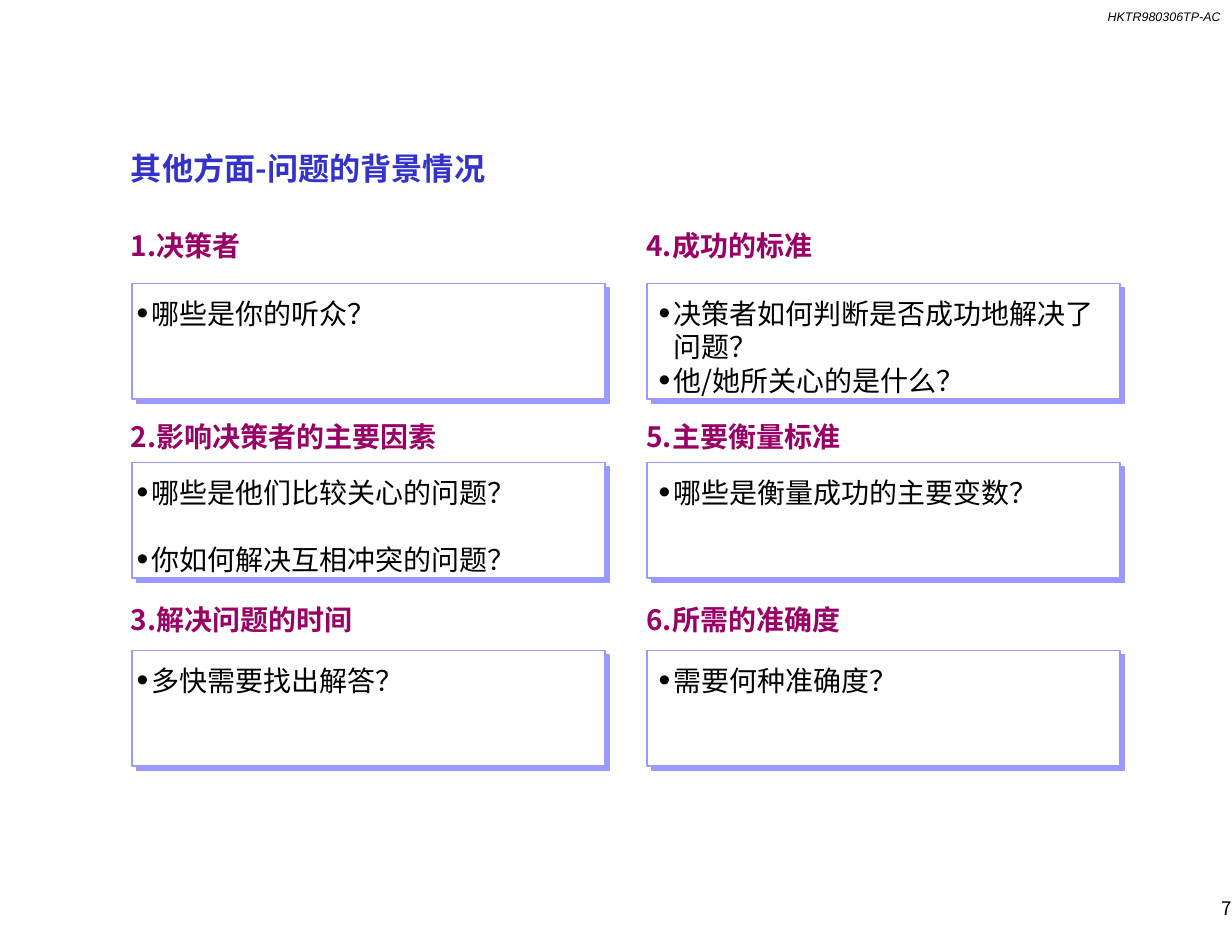
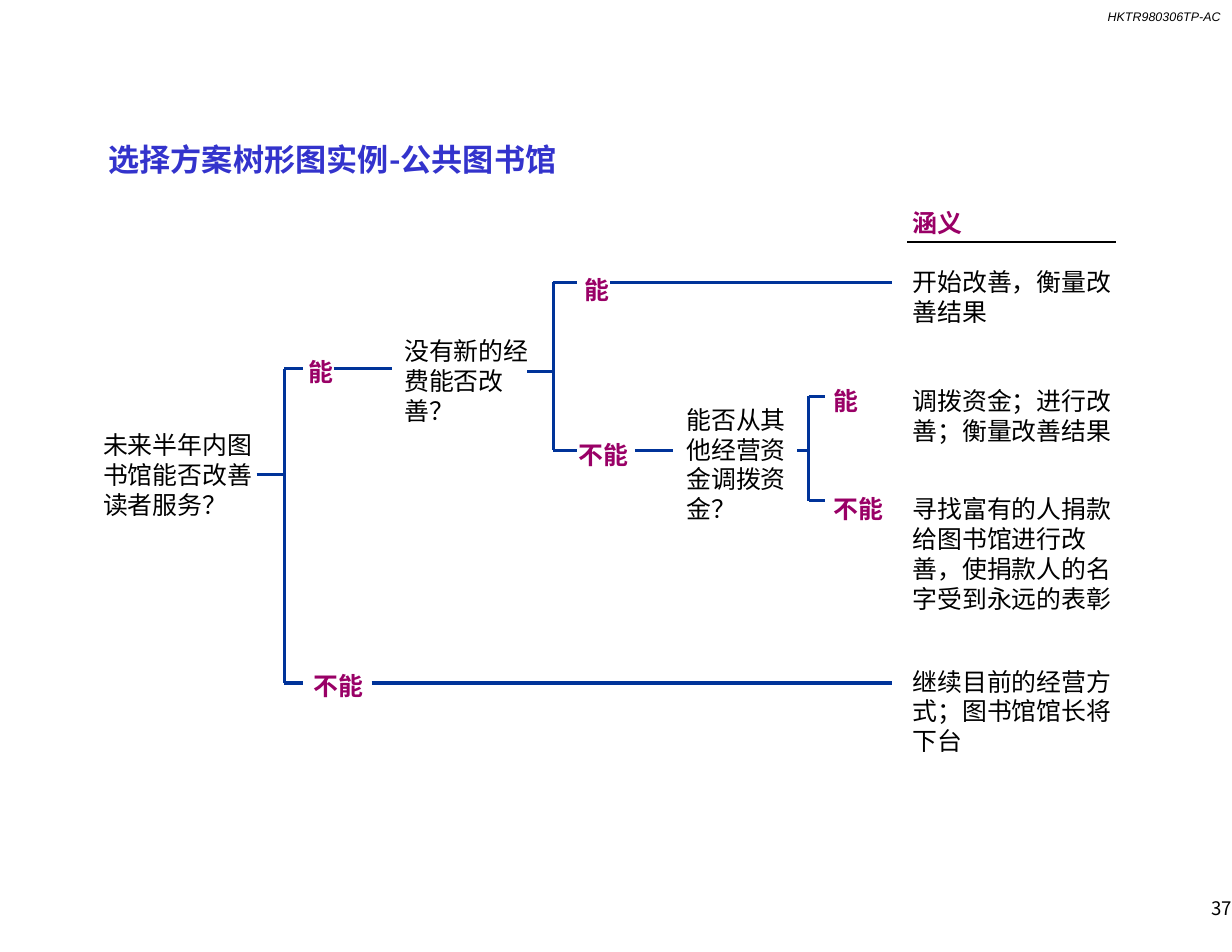
from dataclasses import dataclass

from lxml.etree import SubElement
from pptx import Presentation
from pptx.dml.color import RGBColor
from pptx.enum.shapes import MSO_CONNECTOR, MSO_SHAPE
from pptx.enum.text import MSO_ANCHOR, MSO_AUTO_SIZE, PP_ALIGN
from pptx.oxml.ns import qn
from pptx.util import Cm, Pt

LEFT, RIGHT = PP_ALIGN.LEFT, PP_ALIGN.RIGHT
TOP, MIDDLE = MSO_ANCHOR.TOP, MSO_ANCHOR.MIDDLE
NO_FIT = MSO_AUTO_SIZE.NONE
RECT = MSO_SHAPE.RECTANGLE
STRAIGHT = MSO_CONNECTOR.STRAIGHT
TITLE_ONLY = 5


@dataclass(frozen=True)
class Theme:
    """Fonts, colours and type sizes of the deck."""
    font: str = "Noto Sans CJK SC"
    code_font: str = "Arial"
    title: str = "3333CC"
    head: str = "990066"
    ink: str = "000000"
    paper: str = "FFFFFF"
    edge: str = "9999FF"
    tree: str = "003399"
    title_size: int = 20
    panel_size: int = 18
    tree_size: int = 16
    page_size: int = 12
    code_size: int = 8
    leading: float = 1.2


THEME = Theme()

PANELS = [
    [("1.决策者", ["哪些是你的听众？"]),
     ("2.影响决策者的主要因素", ["哪些是他们比较关心的问题？", "你如何解决互相冲突的问题？"]),
     ("3.解决问题的时间", ["多快需要找出解答？"])],
    [("4.成功的标准", ["决策者如何判断是否成功地解决了问题？", "他/她所关心的是什么？"]),
     ("5.主要衡量标准", ["哪些是衡量成功的主要变数？"]),
     ("6.所需的准确度", ["需要何种准确度？"])],
]
COLUMNS = [(2.97, 3.0, 3.1), (14.66, 14.68, 14.94)]
ROWS = [(5.18, 6.43), (9.51, 10.49), (13.67, 14.75)]
SPREAD = "2.影响决策者的主要因素"

QUESTIONS = [
    ("未来半年内图书馆能否改善读者服务？", 2.34, 9.75, 3.71, 2.03),
    ("没有新的经费能否改善？", 9.17, 7.62, 3.07, 2.03),
    ("能否从其他经营资金调拨资金？", 15.57, 9.17, 2.67, 2.72),
]
ANSWERS = [
    ("能", 6.99, 8.1), ("不能", 7.11, 15.21),
    ("能", 13.26, 6.22), ("不能", 13.13, 9.96),
    ("能", 18.9, 8.74), ("不能", 18.9, 11.2),
]
RESULTS = [
    ("调拨资金；进行改善；衡量改善结果", 8.74, 4.83, 1.35),
    ("寻找富有的人捐款给图书馆进行改善，使捐款人的名字受到永远的表彰", 11.2, 5.05, 2.72),
    ("继续目前的经营方式；图书馆馆长将下台", 15.11, 5.05, 2.03),
]
FORKS = [
    (5.82, 10.77, 6.45, 6.88, 8.36, 15.49),
    (11.96, 8.43, 12.55, 13.08, 6.4, 10.21),
    (18.08, 10.21, 18.34, 18.72, 8.99, 11.36),
]
BRANCHES = [(7.57, 8.89, 8.36), (14.4, 15.27, 10.21),
            (13.84, 20.22, 6.4), (8.43, 20.22, 15.49)]


def rgb(code):
    """Turn a hex code into a colour."""
    return RGBColor.from_string(code)


def style(para, size, color, bold=False, align=LEFT):
    """Format one paragraph in the main font, without hanging punctuation."""
    para.alignment = align
    para.line_spacing = Pt(size * THEME.leading)
    font = para.font
    font.size, font.bold = Pt(size), bold
    font.color.rgb = rgb(color)
    font.name = THEME.font
    props = para._p.get_or_add_pPr()
    props.set("hangingPunct", "0")
    SubElement(props.find(qn("a:defRPr")), qn("a:ea"), typeface=THEME.font)


def set_frame(frame, anchor=TOP):
    """Strip a text frame of margins and make it wrap."""
    frame.word_wrap = True
    frame.auto_size = NO_FIT
    frame.vertical_anchor = anchor
    frame.margin_left = frame.margin_right = 0
    frame.margin_top = frame.margin_bottom = 0


def add_box(slide, left, top, width, height, anchor=TOP):
    """Add an empty text box and return its frame."""
    box = slide.shapes.add_textbox(Cm(left), Cm(top), Cm(width), Cm(height))
    set_frame(box.text_frame, anchor)
    return box.text_frame


def add_text(slide, text, left, top, width, height, size,
             color=THEME.ink, bold=False):
    """Add a one-paragraph text box and return its frame."""
    frame = add_box(slide, left, top, width, height)
    frame.text = text
    style(frame.paragraphs[0], size, color, bold)
    return frame


def add_slide(deck, title, left, top, width, number):
    """Add a slide with title, document code and page number."""
    slide = deck.slides.add_slide(deck.slide_layouts[TITLE_ONLY])
    head = slide.shapes.title
    head.left, head.top = Cm(left), Cm(top)
    head.width, head.height = Cm(width), Cm(0.84)
    set_frame(head.text_frame)
    head.text_frame.text = title
    style(head.text_frame.paragraphs[0], THEME.title_size, THEME.title, True)

    para = add_box(slide, 23.09, 0.2, 4.6, 0.33).paragraphs[0]
    para.text = "HKTR980306TP-AC"
    para.alignment = RIGHT
    para.font.name, para.font.size = THEME.code_font, Pt(THEME.code_size)
    para.font.italic = True
    para.font.color.rgb = rgb(THEME.ink)

    page = add_box(slide, 22.23, 20.29, 5.71, 0.61, MIDDLE)
    page.text = str(number)
    style(page.paragraphs[0], THEME.page_size, THEME.ink, align=RIGHT)
    return slide


def add_card(slide, left, top):
    """Add a white card with a hard offset shadow."""
    card = slide.shapes.add_shape(RECT, Cm(left), Cm(top), Cm(10.72), Cm(2.62))
    card.fill.solid()
    card.fill.fore_color.rgb = rgb(THEME.paper)
    card.line.color.rgb = rgb(THEME.edge)
    card.line.width = Pt(1)
    card.shadow.inherit = False
    effects = card._element.spPr.find(qn("a:effectLst"))
    shade = SubElement(effects, qn("a:outerShdw"), blurRad="0",
                       dist=str(Pt(4.2)), dir="2700000", rotWithShape="0")
    SubElement(shade, qn("a:srgbClr"), val=THEME.edge)


def add_list(slide, items, left, top, spread):
    """Add a bullet list, with a line between items if spread."""
    frame = add_box(slide, left, top, 10.1, 2.3)
    for i, item in enumerate(items):
        para = frame.add_paragraph() if i else frame.paragraphs[0]
        para.text = item
        props = para._p.get_or_add_pPr()
        props.set("marL", str(Cm(0.33)))
        props.set("indent", str(-Cm(0.33)))
        SubElement(props, qn("a:buSzPct"), val="120000")
        SubElement(props, qn("a:buFont"), typeface=THEME.code_font)
        SubElement(props, qn("a:buChar"), char="•")
        style(para, THEME.panel_size, THEME.ink)
        if i and spread:
            para.space_before = Pt(THEME.panel_size * THEME.leading)


def add_line(slide, x1, y1, x2, y2, color=THEME.tree, width=2):
    """Add a straight line without shadow."""
    line = slide.shapes.add_connector(STRAIGHT, Cm(x1), Cm(y1), Cm(x2), Cm(y2))
    line.line.color.rgb = rgb(color)
    line.line.width = Pt(width)
    SubElement(line._element.spPr, qn("a:effectLst"))


def add_fork(slide, start, stem, spine, end, high, low):
    """Add a stem that splits into an upper and a lower stub."""
    add_line(slide, start, stem, spine, stem)
    add_line(slide, spine, high, spine, low)
    for level in (high, low):
        add_line(slide, spine, level, end, level)


def add_panels(deck):
    """Build the slide with six headed cards."""
    slide = add_slide(deck, "其他方面-问题的背景情况", 2.97, 3.38, 11.43, 7)
    for (head_x, card_x, list_x), column in zip(COLUMNS, PANELS):
        for (head_y, card_y), (head, items) in zip(ROWS, column):
            add_text(slide, head, head_x, head_y, 10.16, 0.76,
                     THEME.panel_size, THEME.head, True)
            add_card(slide, card_x, card_y)
            add_list(slide, items, list_x, card_y + 0.29, head == SPREAD)


def add_tree(deck):
    """Build the slide with the decision tree."""
    slide = add_slide(deck, "选择方案树形图实例-公共图书馆", 2.46, 3.18, 22.68, 37)
    size = THEME.tree_size
    for question in QUESTIONS:
        add_text(slide, *question, size)
    for text, left, top in ANSWERS:
        width = 0.74 if len(text) == 1 else 1.73
        add_text(slide, text, left, top, width, 0.69, size, THEME.head, True)

    frame = add_text(slide, "涵义", 20.7, 4.7, 4.67, 2.72, size, THEME.head, True)
    para = frame.add_paragraph()
    para.text = "开始改善，衡量改善结果"
    style(para, size, THEME.ink)
    para.space_before = Pt(size * THEME.leading)
    for text, top, width, height in RESULTS:
        add_text(slide, text, 20.7, top, width, height, size)

    for fork in FORKS:
        add_fork(slide, *fork)
    for start, end, level in BRANCHES:
        add_line(slide, start, level, end, level)
    add_line(slide, 20.57, 5.49, 25.3, 5.49, THEME.ink, 1)


def main():
    """Build and save the deck."""
    deck = Presentation()
    deck.slide_width, deck.slide_height = Cm(27.94), Cm(21.59)
    add_panels(deck)
    add_tree(deck)
    deck.save("out.pptx")


if __name__ == "__main__":
    main()
